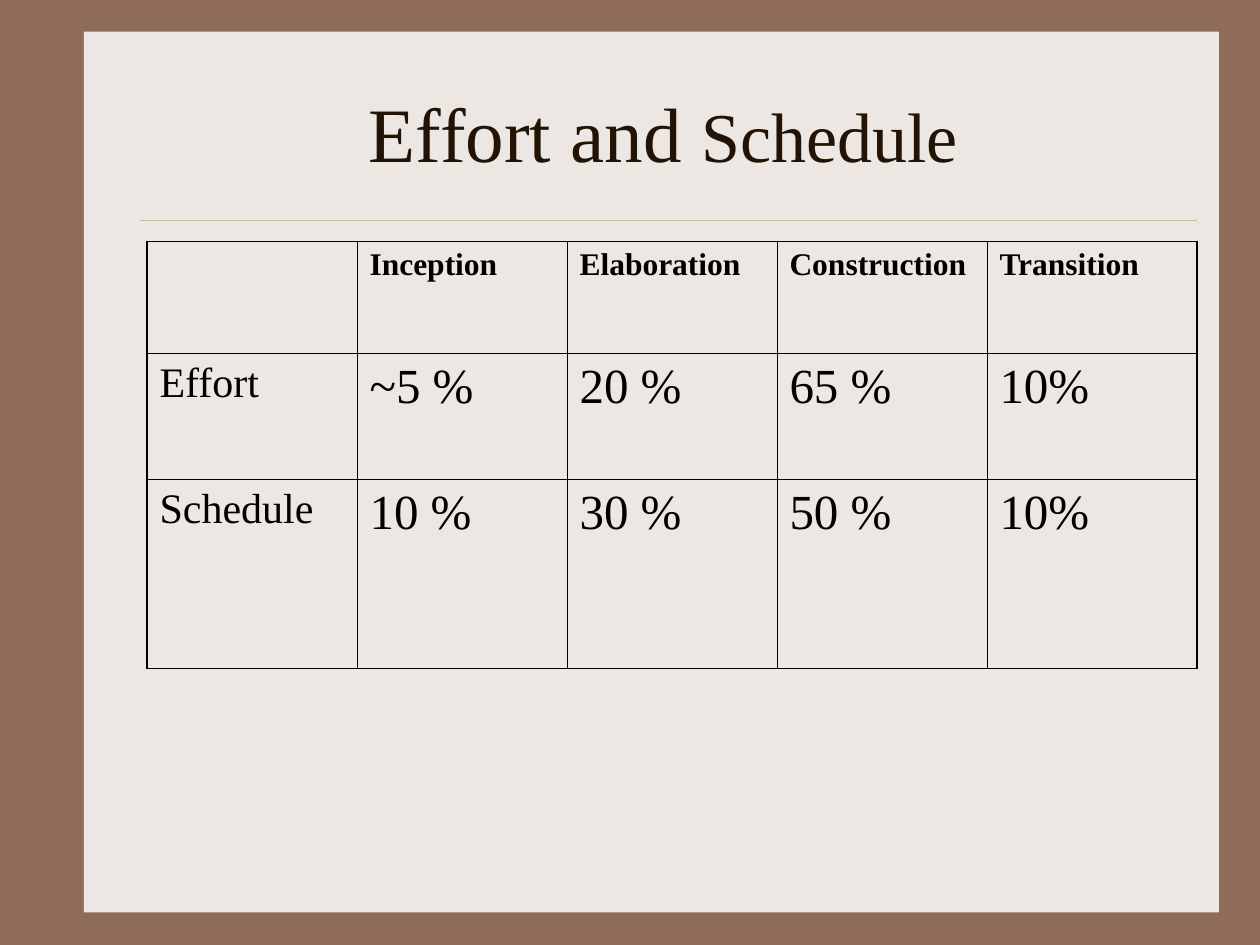
from dataclasses import dataclass

import lxml.etree
import pptx
import pptx.dml.color
import pptx.enum.shapes
import pptx.enum.text
import pptx.oxml.ns
import pptx.util

RGBColor = pptx.dml.color.RGBColor
BROWN = RGBColor(0x90, 0x6D, 0x58)
PAPER = RGBColor(0xED, 0xE7, 0xE3)
GOLD = RGBColor(0xCB, 0xBD, 0x83)
DARK = RGBColor(0x22, 0x13, 0x04)
BLACK = RGBColor(0, 0, 0)

FONT = "Times New Roman"
UNIT = pptx.util.Inches(1) // 12  # the slide is a grid of 120 columns by 90 rows
THIN, THICK = 0.45, 1.08


@dataclass(frozen=True)
class Box:
    """A place on the grid, in columns and rows."""
    col: float
    row: float
    cols: float
    rows: float

    def emu(self) -> list[int]:
        return [grid(n) for n in (self.col, self.row, self.cols, self.rows)]


@dataclass(frozen=True)
class Style:
    size: float
    color: RGBColor = BLACK
    bold: bool = False


HEAD, LABEL, VALUE = Style(18, bold=True), Style(24), Style(28)
PANEL = Box(8, 3, 108.1, 83.9)
TITLE = Box(14, 5, 100, 15)
TABLE = Box(14, 23, 100, 40.67)
ROW_HEIGHTS = (10.67, 12, 18)
ROWS = (
    ("", "Inception", "Elaboration", "Construction", "Transition"),
    ("Effort", "~5 %", "20 %", "65 %", "10%"),
    ("Schedule", "10 %", "30 %", "50 %", "10%"),
)


def grid(n: float) -> int:
    return round(n * UNIT)


def add_run(p, text: str, style: Style) -> None:
    r = p.add_run()
    r.text = text
    r.font.name = FONT
    r.font.size = pptx.util.Pt(style.size)
    r.font.bold = style.bold
    r.font.color.rgb = style.color


def add_border(cell, side: str, width: float) -> None:
    qn = pptx.oxml.ns.qn
    ln = lxml.etree.SubElement(cell._tc.get_or_add_tcPr(), qn(f"a:ln{side}"),
                               w=str(pptx.util.Pt(width)))
    fill = lxml.etree.SubElement(ln, qn("a:solidFill"))
    lxml.etree.SubElement(fill, qn("a:srgbClr"), val=str(BLACK))


def add_panel(s) -> None:
    sp = s.shapes.add_shape(pptx.enum.shapes.MSO_SHAPE.RECTANGLE, *PANEL.emu())
    sp.shadow.inherit = False
    sp.fill.solid()
    sp.fill.fore_color.rgb = PAPER
    sp.line.fill.background()


def add_rule(s) -> None:
    line = s.shapes.add_connector(pptx.enum.shapes.MSO_CONNECTOR.STRAIGHT,
                                  grid(13.3), grid(21), grid(114), grid(21))
    line.line.color.rgb = GOLD
    line.line.width = pptx.util.Pt(0.25)
    lxml.etree.SubElement(line._element.spPr, pptx.oxml.ns.qn("a:effectLst"))


def add_title(s) -> None:
    tf = s.shapes.add_textbox(*TITLE.emu()).text_frame
    tf.word_wrap = True
    tf.vertical_anchor = pptx.enum.text.MSO_ANCHOR.MIDDLE
    p = tf.paragraphs[0]
    p.alignment = pptx.enum.text.PP_ALIGN.CENTER
    add_run(p, "Effort and ", Style(44, DARK))
    add_run(p, "Schedule ", Style(40, DARK))


def add_table(s) -> None:
    last_row, last_col = len(ROWS) - 1, len(ROWS[0]) - 1
    table = s.shapes.add_table(len(ROWS), len(ROWS[0]), *TABLE.emu()).table
    table.first_row = table.horz_banding = False
    for column in table.columns:
        column.width = grid(TABLE.cols / len(ROWS[0]))
    for i, texts in enumerate(ROWS):
        table.rows[i].height = grid(ROW_HEIGHTS[i])
        for j, text in enumerate(texts):
            cell = table.cell(i, j)
            # Outer edges are thick, inner ones thin
            outer = {"L": j == 0, "R": j == last_col, "T": i == 0, "B": i == last_row}
            for side, thick in outer.items():
                add_border(cell, side, THICK if thick else THIN)
            cell.fill.background()
            if text:
                style = HEAD if i == 0 else LABEL if j == 0 else VALUE
                add_run(cell.text_frame.paragraphs[0], text, style)


def main() -> None:
    prs = pptx.Presentation()
    prs.slide_width, prs.slide_height = grid(120), grid(90)
    s = prs.slides.add_slide(prs.slide_layouts[6])

    # Backdrop
    s.background.fill.solid()
    s.background.fill.fore_color.rgb = BROWN
    add_panel(s)
    add_rule(s)

    # Content
    add_title(s)
    add_table(s)
    prs.save("out.pptx")


if __name__ == "__main__":
    main()
